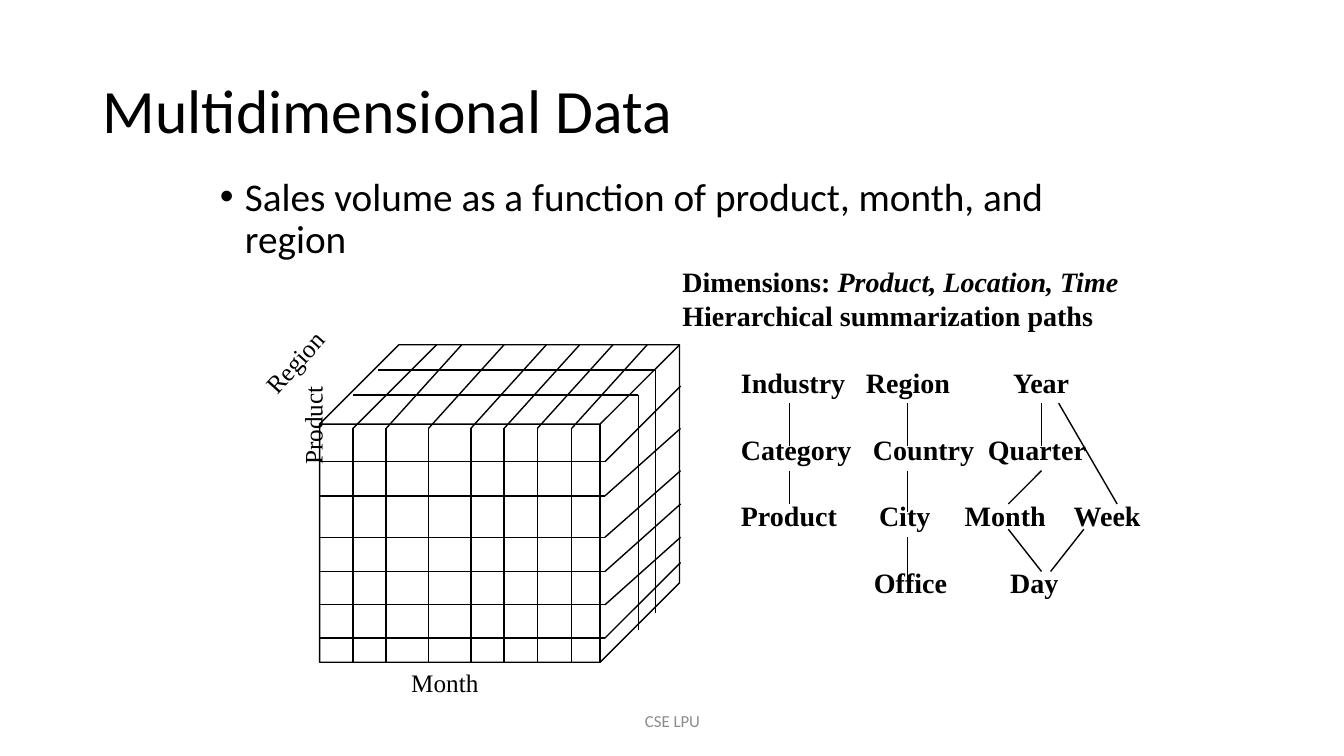
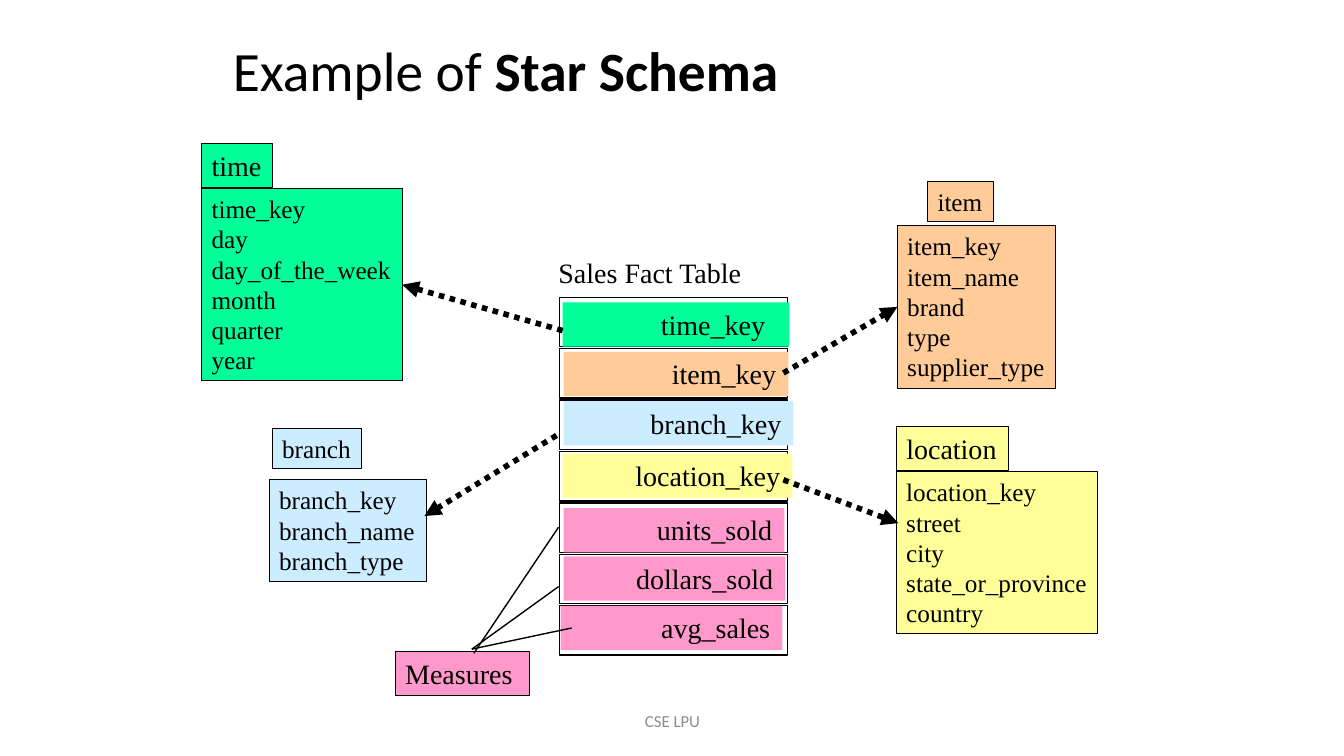
from pptx import Presentation
from pptx.dml.color import RGBColor
from pptx.enum.dml import MSO_LINE
from pptx.enum.shapes import MSO_CONNECTOR, MSO_SHAPE
from pptx.enum.text import MSO_ANCHOR, MSO_AUTO_SIZE, PP_ALIGN
from pptx.oxml.ns import qn
from pptx.util import Inches, Pt
from lxml import etree

COLORS = {
    "ink": "000000", "footer": "8C8C8C", "time": "00FF99", "item": "FFCC99",
    "branch": "CCECFF", "location": "FFFF99", "measure": "FF99CC",
}
SANS, SERIF = "Calibri", "Times New Roman"
TITLE_AND_CONTENT, TITLE_ONLY = 1, 5
RIGHT_SIDE, LEFT_SIDE = 3, 1


def color(name):
    return RGBColor.from_string(COLORS[name])


class SlideBuilder:
    """Holds the deck, its style and the slide being filled."""

    def __init__(self):
        self.deck = Presentation()
        self.deck.slide_width, self.deck.slide_height = Inches(13.33), Inches(7.5)
        self.page = None

    def new_page(self, layout):
        self.page = self.deck.slides.add_slide(self.deck.slide_layouts[layout])
        self.text((4.42, 6.95, 4.5, 0.4), ["CSE LPU"], size=12, font=SANS, ink="footer",
                  align=PP_ALIGN.CENTER, anchor=MSO_ANCHOR.MIDDLE, wrap=True)

    def set_lines(self, frame, lines, size, font=SERIF, ink="ink", bold=False,
                  align=PP_ALIGN.LEFT, anchor=MSO_ANCHOR.TOP, wrap=False):
        """Each line is a string or a list of (text, bold, italic) spans."""
        frame.auto_size = MSO_AUTO_SIZE.NONE
        frame.word_wrap = wrap
        frame.vertical_anchor = anchor
        for index, line in enumerate(lines):
            para = frame.add_paragraph() if index else frame.paragraphs[0]
            para.alignment = align
            spans = [(line, bold, False)] if isinstance(line, str) else line
            for text, is_bold, is_italic in spans:
                span = para.add_run()
                span.text = text
                span.font.name, span.font.size = font, Pt(size)
                span.font.bold, span.font.italic = is_bold, is_italic
                span.font.color.rgb = color(ink)

    def place(self, shape, area):
        shape.left, shape.top, shape.width, shape.height = map(Inches, area)

    def title(self, area, line, size):
        holder = self.page.shapes.title
        self.place(holder, area)
        self.set_lines(holder.text_frame, [line], size, SANS,
                       anchor=MSO_ANCHOR.MIDDLE, wrap=True)
        holder.text_frame.paragraphs[0].line_spacing = 0.9

    def bullets(self, area, lines, size):
        holder = self.page.placeholders[1]
        self.place(holder, area)
        self.set_lines(holder.text_frame, lines, size, SANS, wrap=True)
        for index, para in enumerate(holder.text_frame.paragraphs):
            properties = para._p.get_or_add_pPr()
            properties.set("marL", str(Inches(0.25)))
            properties.set("indent", str(Inches(-0.25)))
            para.line_spacing = 0.9
            para.space_before = Pt(10 if index else 0)

    def text(self, area, lines, size, rotation=0, **style):
        box = self.page.shapes.add_textbox(*map(Inches, area))
        box.rotation = rotation
        self.set_lines(box.text_frame, lines, size, **style)

    def shape(self, area, fill=None, line=None, kind=MSO_SHAPE.RECTANGLE):
        shape = self.page.shapes.add_shape(kind, *map(Inches, area))
        shape.shadow.inherit = False
        if fill:
            shape.fill.solid()
            shape.fill.fore_color.rgb = color(fill)
        else:
            shape.fill.background()
        if line:
            shape.line.color.rgb = color("ink")
            shape.line.width = Pt(line)
        else:
            shape.line.fill.background()
        return shape

    def label(self, area, lines, size, fill, line=0.75, **style):
        box = self.shape(area, fill, line)
        self.set_lines(box.text_frame, lines, size, **style)
        return box

    def line(self, start, end, width=1):
        rule = self.page.shapes.add_connector(
            MSO_CONNECTOR.STRAIGHT, *map(Inches, (*start, *end)))
        rule.line.color.rgb = color("ink")
        rule.line.width = Pt(width)
        etree.SubElement(rule._element.spPr, qn("a:effectLst"))
        return rule

    def dotted_arrow(self, start, end):
        arrow = self.line(start, end, 4)
        arrow.line.dash_style = MSO_LINE.ROUND_DOT
        outline = arrow._element.spPr.find(qn("a:ln"))
        etree.SubElement(outline, qn("a:tailEnd"), type="triangle")
        return arrow


def draw_cube(builder):
    left, right, back_right = 3.17, 6, 6.75
    back_top, front_top, bottom = 3.42, 4.25, 6.58
    builder.shape((left, back_top, 3.57, 3.15), line=1, kind=MSO_SHAPE.CUBE)
    # Each row: height on the front face, height at the back of the side face
    for front, back in ((4.58, 3.83), (4.92, 4.25), (5.33, 4.67),
                        (5.67, 5), (6, 5.33), (6.33, 5.58)):
        builder.line((left, front), (right, front))
        builder.line((right, front), (back_right, back))
    # Each column: x on the front face, x at the back of the top face
    for front, back in ((3.5, 4.33), (3.83, 4.58), (4.25, 5), (4.67, 5.42),
                        (5, 5.75), (5.33, 6.08), (5.67, 6.42)):
        builder.line((front, front_top), (front, bottom))
        builder.line((front, front_top), (back, back_top))
    for start, end, top, low in ((3.75, 6.5, 3.67, 6.08), (3.5, 6.33, 3.92, 6.25)):
        builder.line((start, top), (end, top))
        builder.line((end, top), (end, low))
    builder.text((2.5, 4.02, 1.2, 0.4), ["Product"], 18, rotation=270,
                 align=PP_ALIGN.CENTER, wrap=True)
    builder.text((2.42, 3.3, 1.16, 0.4), ["Region"], 18, rotation=312, wrap=True)
    builder.text((3.98, 6.57, 0.88, 0.4), ["Month"], 18)


def draw_hierarchies(builder):
    first_top, level_gap = 3.58, 0.66
    levels = (
        (("Industry", 7.25), ("Region", 8.49), ("Year", 9.95)),
        (("Category", 7.25), ("Country", 8.56), ("Quarter", 9.7)),
        (("Product", 7.25), ("City", 8.62), ("Month", 9.47), ("Week", 10.55)),
        (("Office", 8.57), ("Day", 9.92)),
    )
    for level, words in enumerate(levels):
        for word, left in words:
            builder.text((left, first_top + level * level_gap, 1.4, 0.44), [word], 20,
                         bold=True, wrap=True)
    for x, top, low in ((7.83, 4, 4.42), (9, 4, 4.42), (10.33, 4, 4.42),
                        (7.83, 4.67, 5), (9, 4.67, 5.08), (9, 5.33, 5.75)):
        builder.line((x, top), (x, low))
    for start, end in (((10.33, 4.67), (10, 5)), ((10.5, 4), (11.08, 5)),
                       ((10, 5.25), (10.33, 5.67)), ((10.75, 5.25), (10.42, 5.67))):
        builder.line(start, end)


def multidimensional_page(builder):
    builder.new_page(TITLE_AND_CONTENT)
    builder.title((0.92, 0.4, 11.5, 1.45), "Multidimensional Data", 44)
    builder.bullets((2.08, 1.71, 9.08, 5),
                    ["Sales volume as a function of product, month, and region"], 28)
    draw_cube(builder)
    builder.text((6.67, 2.58, 4.56, 0.77),
                 [[("Dimensions: ", True, False), ("Product, Location, Time", True, True)],
                  "Hierarchical summarization paths"], 20, bold=True)
    draw_hierarchies(builder)


def draw_fact_table(builder):
    builder.text((5.44, 2.49, 2.03, 0.44), ["Sales Fact Table"], 20)
    rows = (
        ("time_key", "time", 5.58, 3, 2.25),
        ("item_key", "item", 5.59, 3.49, 2.23),
        ("branch_key", "branch", 5.59, 3.98, 2.28),
        ("location_key", "location", 5.58, 4.5, 2.28),
        ("units_sold", "measure", 5.59, 5.04, 2.19),
        ("dollars_sold", "measure", 5.59, 5.52, 2.2),
        ("avg_sales", "measure", 5.56, 6.01, 2.2),
    )
    row_pitch = 0.51
    for index, (name, fill, left, top, width) in enumerate(rows):
        builder.shape((5.55, 2.95 + index * row_pitch, 2.26, 0.49), line=1)
        bar = builder.label((left, top, width, 0.44), [name], 20, fill, line=None,
                            align=PP_ALIGN.RIGHT, wrap=True)
        bar.text_frame.margin_right = Inches(0.24 if index == 0 else 0.12)


def draw_dimensions(builder):
    """Draw the four dimension tables and return their column boxes by name."""
    dimensions = (
        ("time", (2, 1.42, 0.7, 0.44), 20, (2, 1.87, 1.99, 1.91),
         ["time_key", "day", "day_of_the_week", "month", "quarter", "year"]),
        ("location", (8.89, 4.23, 1.11, 0.44), 20, (8.89, 4.68, 2, 1.61),
         ["location_key", "street", "city", "state_or_province", "country"]),
        ("item", (9.2, 1.8, 0.65, 0.4), 18, (8.9, 2.24, 1.57, 1.61),
         ["item_key", "item_name", "brand", "type", "supplier_type"]),
        ("branch", (2.7, 4.25, 0.89, 0.4), 18, (2.67, 4.76, 1.56, 1.01),
         ["branch_key", "branch_name", "branch_type"]),
    )
    tables = {}
    for name, name_area, name_size, area, columns in dimensions:
        tables[name] = builder.label(area, columns, 18, name)
        builder.label(name_area, [name], name_size, name)
    return tables


def star_schema_page(builder):
    builder.new_page(TITLE_ONLY)
    builder.title((2.21, 0.45, 8.5, 0.55),
                  [("Example of ", False, False), ("Star Schema", True, False)], 39.6)
    tables = draw_dimensions(builder)
    draw_fact_table(builder)
    builder.label((3.92, 6.46, 1.33, 0.44), ["Measures"], 20, "measure", wrap=True)
    for start, end in (((4.7, 6.48), (5.54, 5.23)), ((4.68, 6.44), (5.54, 5.82)),
                       ((4.68, 6.44), (5.67, 6.23))):
        builder.line(start, end)
    builder.dotted_arrow((5.52, 4.32), (4.21, 5.12))
    builder.dotted_arrow((7.77, 4.76), (8.91, 5.19))
    time_arrow = builder.dotted_arrow((5.58, 3.28), (4, 2.75))
    time_arrow.end_connect(tables["time"], RIGHT_SIDE)
    item_arrow = builder.dotted_arrow((7.77, 3.7), (8.95, 2.96))
    item_arrow.end_connect(tables["item"], LEFT_SIDE)


def main():
    builder = SlideBuilder()
    multidimensional_page(builder)
    star_schema_page(builder)
    builder.deck.save("out.pptx")


if __name__ == "__main__":
    main()
